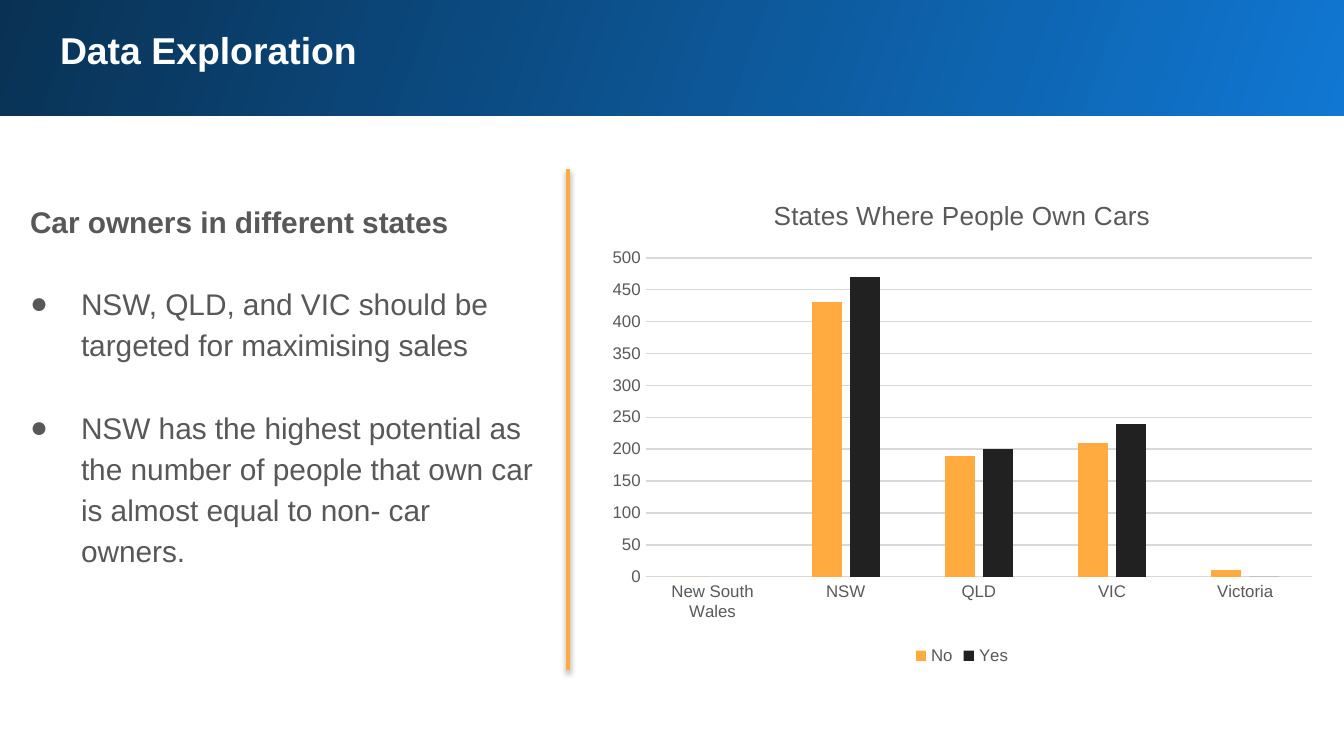
from pptx import Presentation
from pptx.chart.data import CategoryChartData
from pptx.dml.color import RGBColor
from pptx.enum.chart import XL_CHART_TYPE as ChartType, XL_LEGEND_POSITION as LegendPosition
from pptx.enum.chart import XL_TICK_MARK as TickMark
from pptx.enum.shapes import MSO_CONNECTOR as Connector, MSO_SHAPE as Shape
from pptx.enum.text import MSO_ANCHOR as Anchor, MSO_AUTO_SIZE as AutoSize, PP_ALIGN as Align
from pptx.oxml import parse_xml
from pptx.oxml.ns import nsdecls, qn
from pptx.util import Pt

PIXEL = 914400 / 134.4
WHITE = RGBColor(0xFF, 0xFF, 0xFF)
TEXT_GRAY = RGBColor(0x58, 0x58, 0x58)
CHART_GRAY = RGBColor(0x59, 0x59, 0x59)
GRID_GRAY = RGBColor(0xD9, 0xD9, 0xD9)
ORANGE = RGBColor(0xFF, 0xAB, 0x40)
BLACK = RGBColor(0x21, 0x21, 0x21)
BRIGHT_BLUE = RGBColor(0x10, 0x77, 0xD2)
DARK_BLUE = RGBColor(0x09, 0x31, 0x53)


def px(*lengths):
    return [round(length * PIXEL) for length in lengths]


def write(paragraph, text, size=16, color=TEXT_GRAY, bold=False, before=0,
          spacing=1.0, margin=0, indent=0, bullet=None, align=Align.LEFT):
    paragraph.alignment = align
    paragraph.space_before = Pt(before)
    paragraph.line_spacing = spacing
    run = paragraph.add_run()
    run.text = text
    run.font.name = "Arial"
    run.font.size = Pt(size)
    run.font.bold = bold
    run.font.color.rgb = color
    properties = paragraph._p.get_or_add_pPr()
    properties.set("marL", str(px(margin)[0]))
    properties.set("indent", str(px(indent)[0]))
    if bullet:
        properties.append(parse_xml(
            f'<a:buClr {nsdecls("a")}><a:srgbClr val="{color}"/></a:buClr>'))
        properties.append(parse_xml(f'<a:buChar {nsdecls("a")} char="{bullet}"/>'))
    else:
        properties.append(parse_xml(f'<a:buNone {nsdecls("a")}/>'))


presentation = Presentation()
presentation.slide_width, presentation.slide_height = px(1344, 756)
slide = presentation.slides.add_slide(presentation.slide_layouts[1])
shapes = slide.shapes
title, body = slide.placeholders

body.left, body.top, body.width, body.height = px(1, 185, 552, 503)
title.left, title.top, title.width, title.height = px(53, 20, 546, 59)
for placeholder, inset, anchor in ((body, 13, Anchor.TOP), (title, 7, Anchor.MIDDLE)):
    frame = placeholder.text_frame
    frame.word_wrap = True
    frame.auto_size = AutoSize.NONE
    frame.vertical_anchor = anchor
    frame.margin_left, frame.margin_top, frame.margin_right, frame.margin_bottom = px(*[inset] * 4)

write(title.text_frame.paragraphs[0], "Data Exploration", size=20, color=WHITE, bold=True)
write(body.text_frame.paragraphs[0], "Car owners in different states",
      bold=True, spacing=1.15, margin=16)
for point in (
    "NSW, QLD, and VIC should be targeted for maximising sales",
    "NSW has the highest potential as the number of people that own car "
    "is almost equal to non- car owners.",
):
    write(body.text_frame.add_paragraph(), point, before=22.1, spacing=1.15,
          margin=67, indent=-51, bullet="●")

header = shapes.add_shape(Shape.RECTANGLE, *px(-4, -8, 1351, 124))
header.shadow.inherit = False
header.line.fill.background()
header.fill.gradient()
header.fill.gradient_angle = 160
for stop, color in zip(header.fill.gradient_stops, (BRIGHT_BLUE, DARK_BLUE)):
    stop.color.rgb = color

CHART_WIDTH, CHART_HEIGHT = 728, 495
chart_data = CategoryChartData()
chart_data.categories = ["New South Wales", "NSW", "QLD", "VIC", "Victoria"]
chart_data.add_series("No", (0, 430, 190, 210, 10))
chart_data.add_series("Yes", (None, 470, 200, 240, 0))
chart = shapes.add_chart(ChartType.COLUMN_CLUSTERED,
                         *px(598, 176, CHART_WIDTH, CHART_HEIGHT), chart_data).chart
chart.font.name = "Arial"
chart.font.size = Pt(9)
chart.font.color.rgb = CHART_GRAY
chart.has_title = True
write(chart.chart_title.text_frame.paragraphs[0], "States Where People Own Cars",
      size=14, color=CHART_GRAY, align=Align.CENTER)
chart.has_legend = True
chart.legend.position = LegendPosition.BOTTOM
chart.legend.include_in_layout = False

plot = chart.plots[0]
plot.gap_width = 219
plot.overlap = -27
plot.vary_by_categories = False
for series, color in zip(plot.series, (ORANGE, BLACK)):
    series.format.fill.solid()
    series.format.fill.fore_color.rgb = color

category_axis, value_axis = chart.category_axis, chart.value_axis
for axis in (category_axis, value_axis):
    axis.major_tick_mark = axis.minor_tick_mark = TickMark.NONE
value_axis.minimum_scale = 0
value_axis.maximum_scale = 500
value_axis.major_unit = 50
value_axis.format.line.fill.background()
for line in (category_axis.format.line, value_axis.major_gridlines.format.line):
    line.color.rgb = GRID_GRAY
    line.width = Pt(0.75)

for parent, position, target, box in (
    (chart.chart_title._element, 1, "", (171, 18)),
    (chart._chartSpace.chart.plotArea, 0, '<c:layoutTarget val="inner"/>', (48, 82, 666, 319)),
):
    for old_layout in parent.findall(qn("c:layout")):
        parent.remove(old_layout)
    lengths = "".join(
        f'<c:{name} val="{length / total}"/>' for name, length, total
        in zip("xywh", box, (CHART_WIDTH, CHART_HEIGHT) * 2))
    parent.insert(position, parse_xml(
        f'<c:layout {nsdecls("c")}><c:manualLayout>{target}<c:xMode val="edge"/>'
        f'<c:yMode val="edge"/>{lengths}</c:manualLayout></c:layout>'))

divider = shapes.add_connector(Connector.STRAIGHT, *px(568, 169, 568, 670))
divider.line.color.rgb = ORANGE
divider.line.width = Pt(2)
divider._element.spPr.append(parse_xml(
    f'<a:effectLst {nsdecls("a")}><a:outerShdw blurRad="38100" dist="20000" dir="5400000" '
    'rotWithShape="0"><a:srgbClr val="000000"><a:alpha val="38000"/></a:srgbClr>'
    '</a:outerShdw></a:effectLst>'))

shapes._spTree.append(title._element)
presentation.save("out.pptx")
